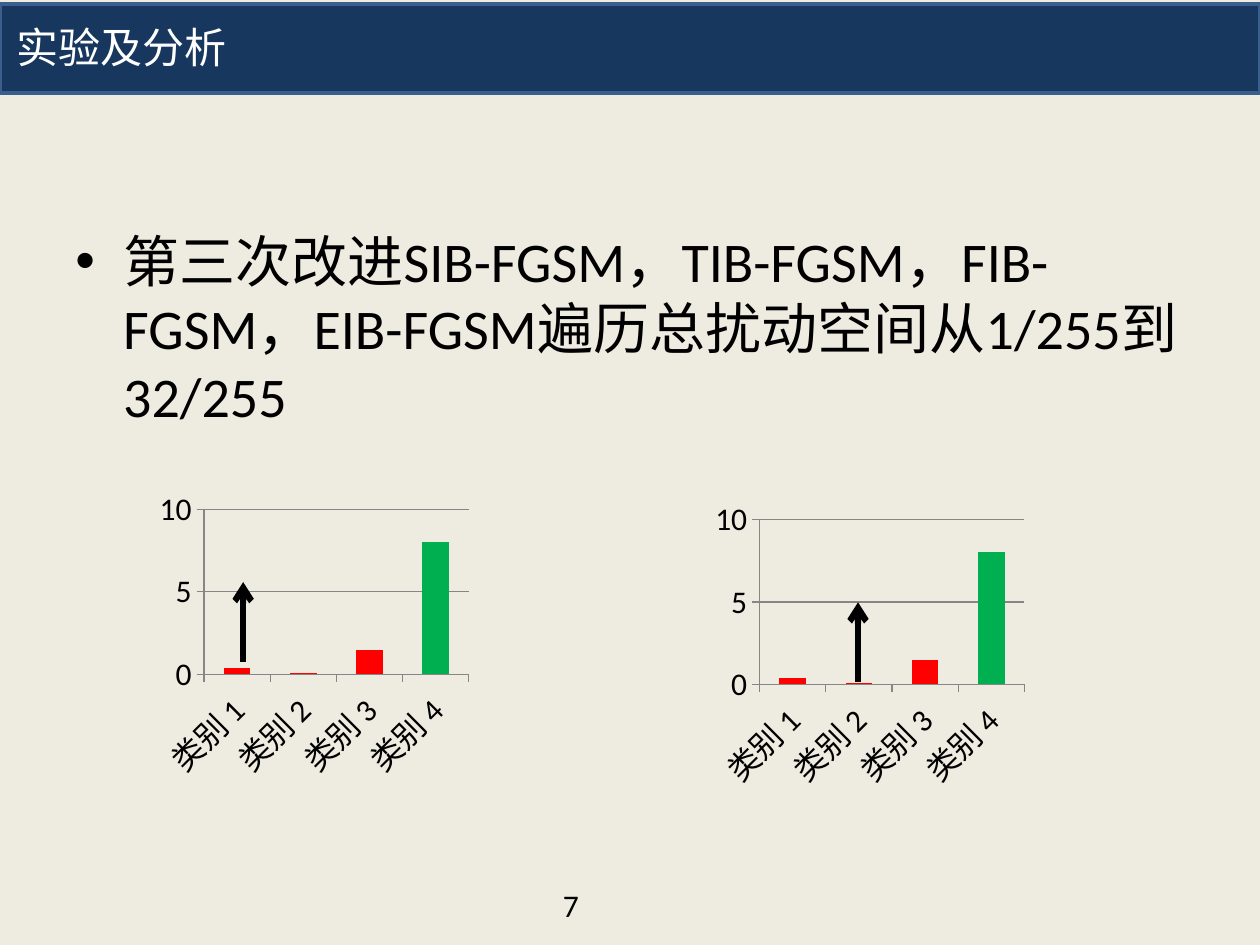
from lxml.etree import SubElement
from pptx import Presentation
from pptx.chart.data import CategoryChartData
from pptx.dml.color import RGBColor
from pptx.enum.chart import XL_CHART_TYPE as ChartType, XL_TICK_MARK as TickMark
from pptx.enum.shapes import MSO_CONNECTOR as Connector, MSO_SHAPE as Shape
from pptx.oxml import parse_xml
from pptx.oxml.ns import nsdecls, qn
from pptx.util import Inches, Pt

CREAM = RGBColor(0xEE, 0xEC, 0xE1)
NAVY = RGBColor(0x17, 0x37, 0x5E)
EDGE = RGBColor(0x3A, 0x5F, 0x8C)
BLACK = RGBColor(0, 0, 0)
WHITE = RGBColor(255, 255, 255)
RED = RGBColor(255, 0, 0)
GREEN = RGBColor(0, 0xB0, 0x50)
GREY = RGBColor(0x86, 0x86, 0x86)

CATEGORIES = ["类别 1", "类别 2", "类别 3", "类别 4"]
VALUES = [0.4, 0.1, 1.5, 8]
BAR_COLOURS = [RED, RED, RED, GREEN]
PLOT = {"x": 0.236, "y": 0.075, "w": 0.523, "h": 0.463}


def add_text(page, left, top, width, height, text, size, font, colour):
    """Add a wrapped one-paragraph text box and return its paragraph."""
    box = page.shapes.add_textbox(Inches(left), Inches(top), Inches(width), Inches(height))
    box.text_frame.word_wrap = True
    para = box.text_frame.paragraphs[0]
    para.text = text
    span = para.runs[0]
    span.font.size = Pt(size)
    span.font.name = font
    span.font.color.rgb = colour
    return para


def add_header(page, left, top, width, height, title):
    """Add the title bar with its heading."""
    bar = page.shapes.add_shape(
        Shape.RECTANGLE, Inches(left), Inches(top), Inches(width), Inches(height))
    bar.shadow.inherit = False
    bar.fill.solid()
    bar.fill.fore_color.rgb = NAVY
    bar.line.color.rgb = EDGE
    bar.line.width = Pt(2)
    para = add_text(page, left + 0.03, top + 0.09, 7.88, 0.52, title, 24, "Arial", WHITE)
    para.space_before = Pt(4.8)


def add_bullet(page, left, top, width, height, text):
    """Add the bulleted statement with a hanging indent."""
    para = add_text(page, left, top, width, height, text, 32, "Calibri", BLACK)
    para.space_before = Pt(6.4)
    props = para._p.get_or_add_pPr()
    props.set("marL", str(Inches(0.38)))
    props.set("indent", str(-Inches(0.38)))
    SubElement(props, qn("a:buFont"), typeface="Arial")
    SubElement(props, qn("a:buChar"), char="•")


def set_plot_area(chart):
    """Fix the inner plot area as fractions of the chart."""
    sizes = "".join(f'<c:{name} val="{value}"/>' for name, value in PLOT.items())
    layout = parse_xml(
        f'<c:layout {nsdecls("c")}><c:manualLayout><c:layoutTarget val="inner"/>'
        f'<c:xMode val="edge"/><c:yMode val="edge"/>{sizes}</c:manualLayout></c:layout>')
    area = chart._chartSpace.chart.plotArea
    for old in area.findall(qn("c:layout")):
        area.remove(old)
    area.insert(0, layout)


def add_arrow(page, x, bottom, length):
    """Add a thick arrow that points upwards."""
    arrow = page.shapes.add_connector(
        Connector.STRAIGHT, Inches(x), Inches(bottom), Inches(x), Inches(bottom - length))
    arrow.line.color.rgb = BLACK
    arrow.line.width = Pt(3.5)
    SubElement(arrow.line._get_or_add_ln(), qn("a:tailEnd"), type="arrow")
    SubElement(arrow._element.spPr, qn("a:effectLst"))


def add_bar_panel(page, left, top, width, height, arrow_x, arrow_bottom):
    """Add a bar chart and the arrow above one of its bars."""
    data = CategoryChartData()
    data.categories = CATEGORIES
    data.add_series("Series 1", VALUES)
    chart = page.shapes.add_chart(
        ChartType.COLUMN_CLUSTERED, Inches(left), Inches(top),
        Inches(width), Inches(height), data).chart
    chart.has_legend = False
    chart.has_title = False
    chart.font.name = "Calibri"
    chart.font.size = Pt(18)
    chart.font.color.rgb = BLACK
    set_plot_area(chart)

    scale = chart.value_axis
    scale.minimum_scale, scale.maximum_scale, scale.major_unit = 0, 10, 5
    scale.has_major_gridlines = True
    scale.major_gridlines.format.line.color.rgb = GREY
    for axis in (chart.category_axis, scale):
        axis.major_tick_mark = TickMark.OUTSIDE
        axis.format.line.color.rgb = GREY

    plot = chart.plots[0]
    plot.gap_width = 150
    plot.vary_by_categories = False
    for index, colour in enumerate(BAR_COLOURS):
        fill = plot.series[0].points[index].format.fill
        fill.solid()
        fill.fore_color.rgb = colour
    add_arrow(page, left + arrow_x, top + arrow_bottom, 0.63)


def main():
    """Build the slide and save the deck."""
    deck = Presentation()
    deck.slide_width, deck.slide_height = Inches(10), Inches(7.5)
    page = deck.slides.add_slide(deck.slide_layouts[6])
    page.background.fill.solid()
    page.background.fill.fore_color.rgb = CREAM
    add_bullet(page, 0.5, 1.75, 9, 4.95,
               "第三次改进SIB-FGSM，TIB-FGSM，FIB-FGSM，EIB-FGSM遍历总扰动空间从1/255到32/255")
    add_bar_panel(page, 0.67, 3.83, 4.02, 2.83, 1.26, 1.42)
    add_bar_panel(page, 5.08, 3.91, 4.02, 2.83, 1.73, 1.5)
    add_text(page, 4.37, 6.98, 2.33, 0.4, "7", 18, "Calibri", BLACK)
    add_header(page, 0, 0.03, 10, 0.71, "实验及分析")
    deck.save("out.pptx")


if __name__ == "__main__":
    main()
